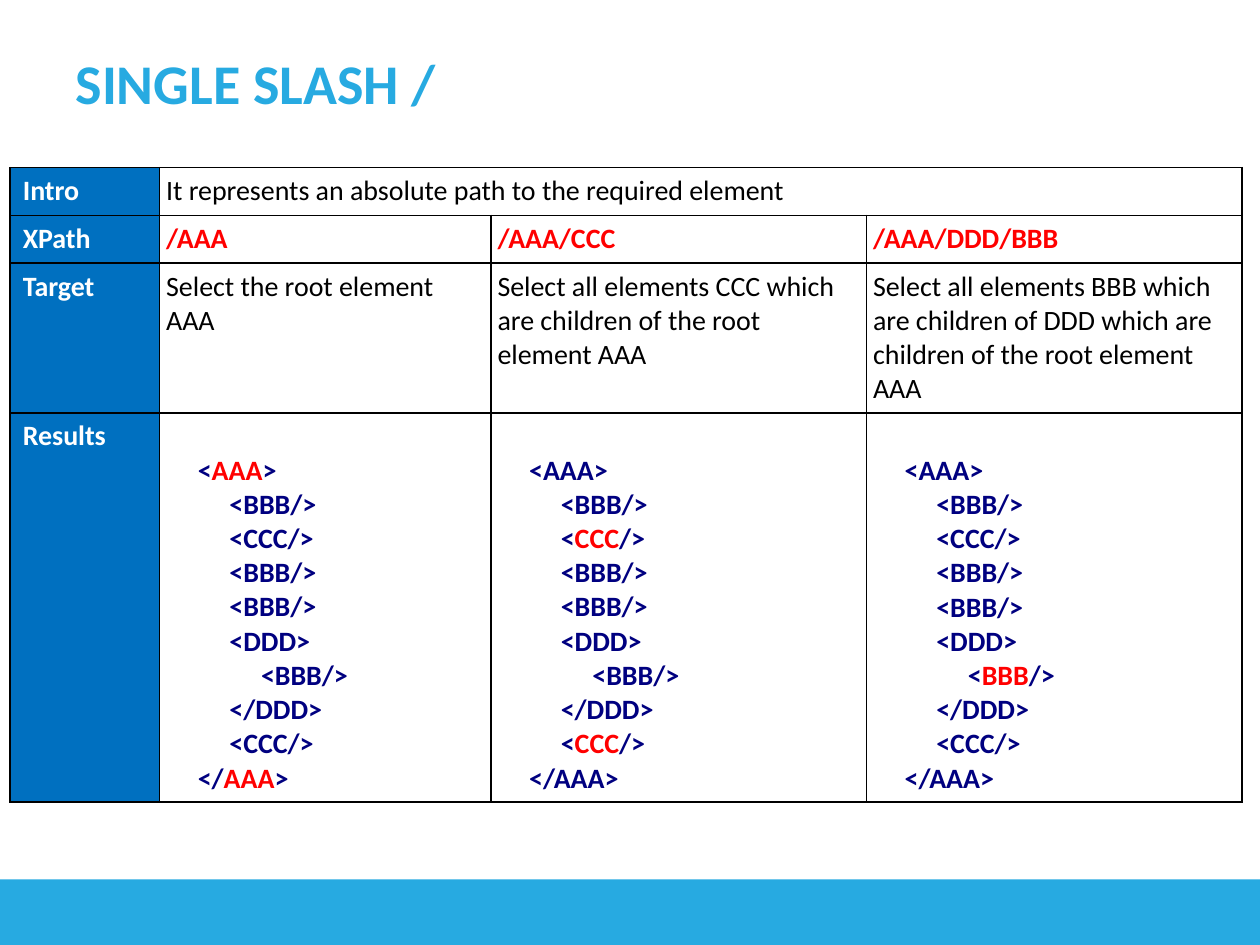
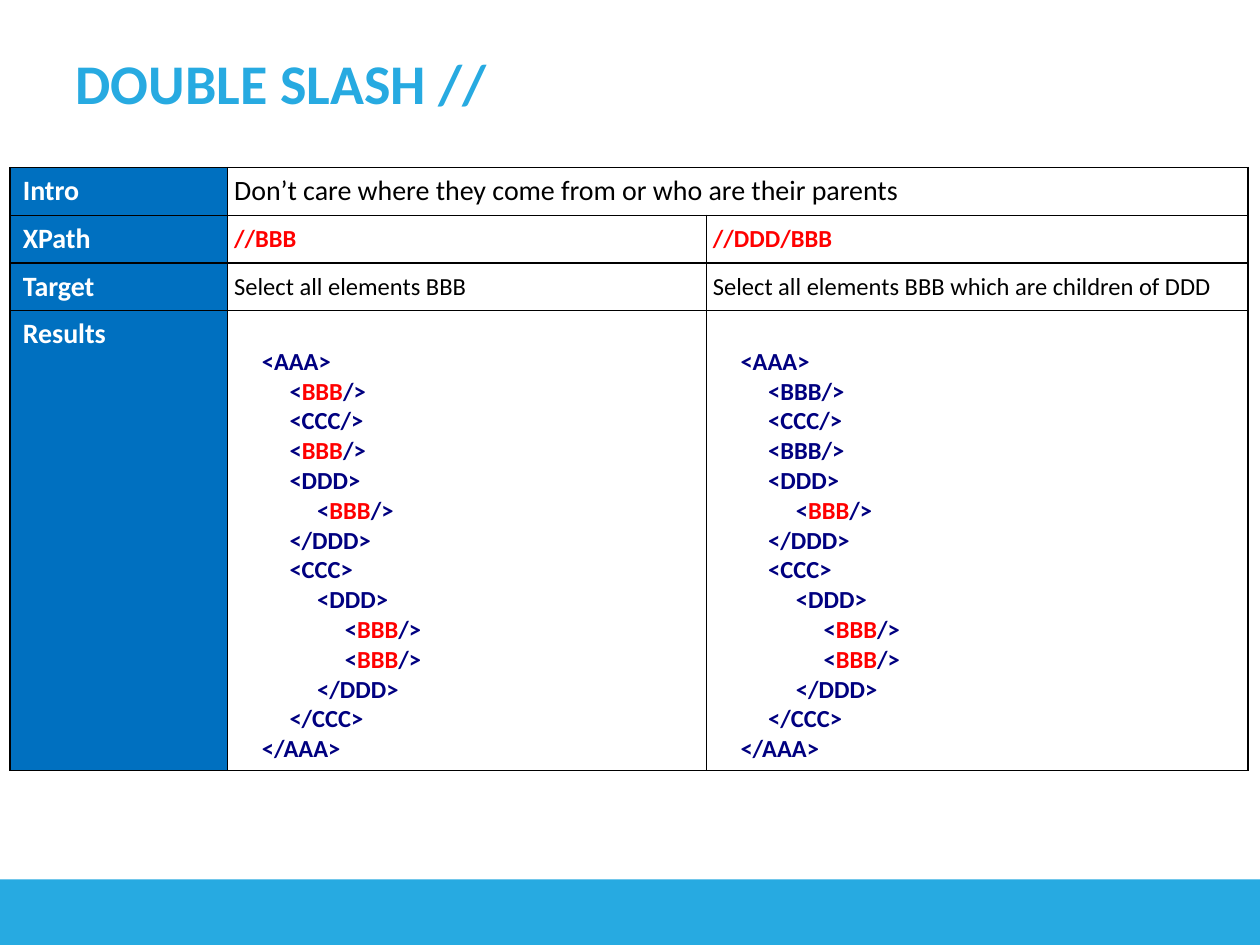
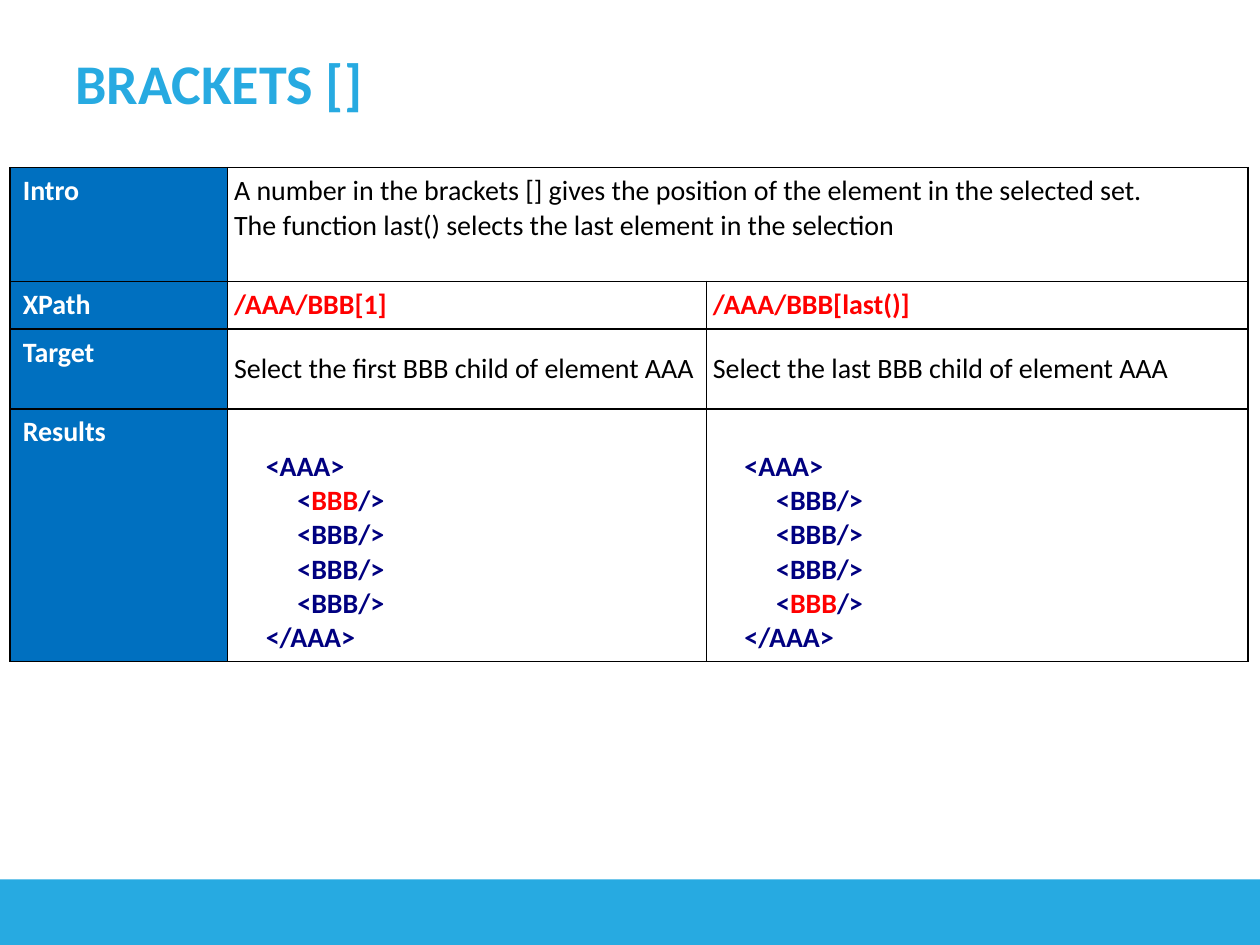
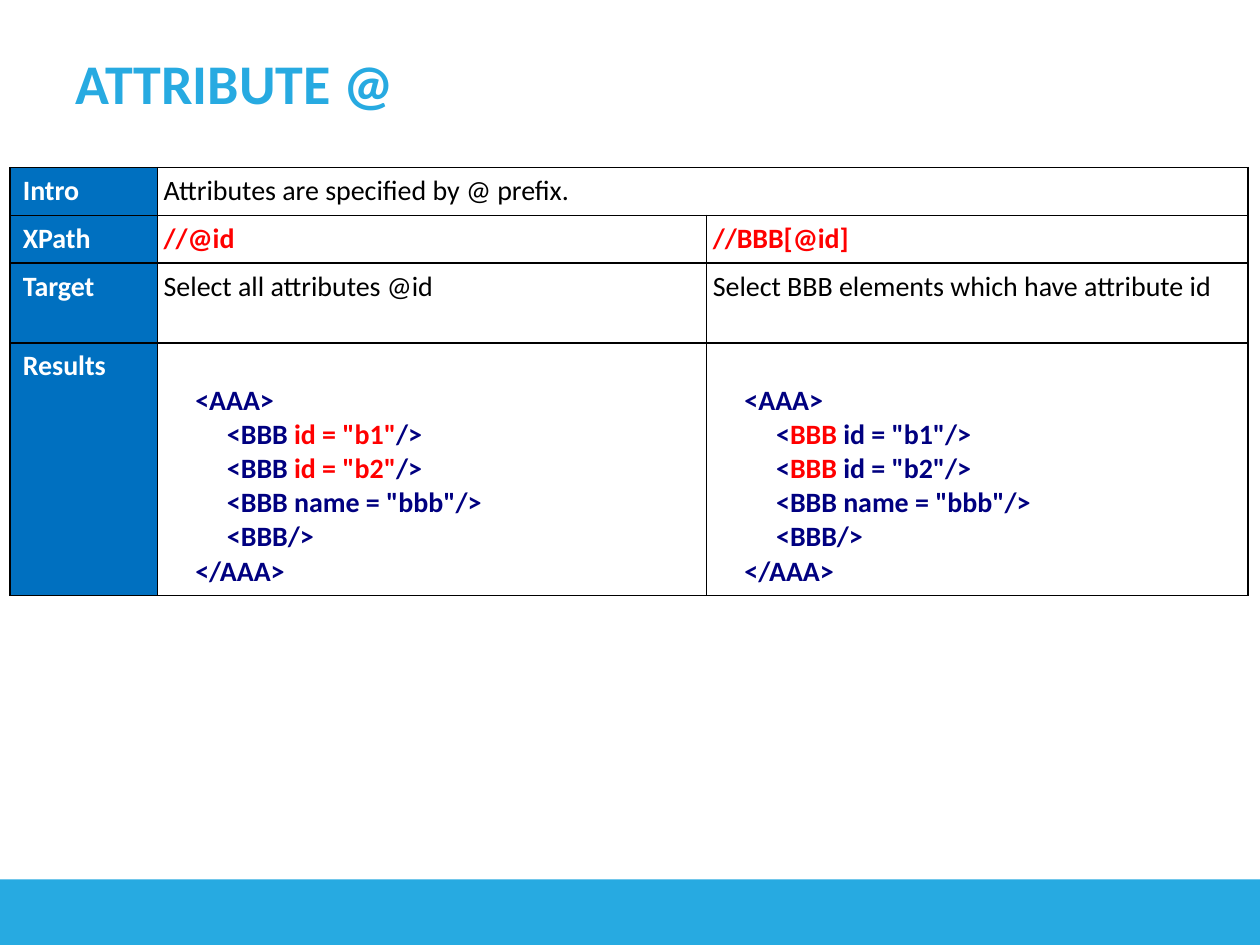
from dataclasses import dataclass

from lxml.etree import SubElement
from pptx import Presentation
from pptx.dml.color import RGBColor as RGB
from pptx.enum.shapes import MSO_SHAPE as Shape
from pptx.enum.text import MSO_ANCHOR as Anchor, PP_ALIGN as Align
from pptx.oxml.ns import qn
from pptx.util import Cm, Pt


@dataclass(frozen=True)
class Theme:
    font: str = "Calibri"
    sky: RGB = RGB(0x27, 0xAA, 0xE1)
    blue: RGB = RGB(0x00, 0x70, 0xC0)
    navy: RGB = RGB(0x00, 0x00, 0x80)
    red: RGB = RGB(0xFF, 0x00, 0x00)
    black: RGB = RGB(0x00, 0x00, 0x00)
    white: RGB = RGB(0xFF, 0xFF, 0xFF)
    head: int = 32
    body: int = 16
    small: int = 14
    line: float = 1.22   # line height, in ems
    step: float = 1.13   # indent of one nesting level, in ems


LABELS = ("Intro", "XPath", "Target", "Results")
PAD = Cm(0.13)


def nest(text):
    """Yield (depth, tag) for each line; the root stands at depth 1."""
    depth = 1
    for tag in text.split("\n"):
        bare = tag.replace("*", "")
        if bare.startswith("</"):
            depth -= 1
        yield depth, tag
        if not bare.startswith("</") and not bare.endswith("/>"):
            depth += 1


class Deck:
    def __init__(self, theme):
        self.theme = theme
        self.prs = Presentation()
        self.prs.slide_width, self.prs.slide_height = Cm(25.4), Cm(19.05)
        self.slide = None

    def page(self, title):
        self.slide = self.prs.slides.add_slide(self.prs.slide_layouts[5])
        self.band()
        self.title(title)

    def band(self):
        bar = self.slide.shapes.add_shape(
            Shape.RECTANGLE, Cm(-0.08), Cm(17.73), Cm(25.63), Cm(1.65))
        bar.shadow.inherit = False
        bar.fill.solid()
        bar.fill.fore_color.rgb = self.theme.sky
        bar.line.fill.background()

    def title(self, text):
        box = self.slide.shapes.title
        box.left, box.top = Cm(1.27), Cm(0.76)
        box.width, box.height = Cm(17.4), Cm(1.78)
        box.text_frame.vertical_anchor = Anchor.MIDDLE
        par = box.text_frame.paragraphs[0]
        par.alignment = Align.LEFT
        self.ink(par, text, self.theme.head, self.theme.sky, True)

    def ink(self, par, text, size, color, bold=False):
        """Fill a paragraph; parts between asterisks turn red."""
        font = par.font
        font.name, font.size, font.bold = self.theme.font, Pt(size), bold
        font.color.rgb = color
        for i, part in enumerate(text.split("*")):
            if part:
                run = par.add_run()
                run.text = part
                if i % 2:
                    run.font.color.rgb = self.theme.red

    def lines(self, cell, texts, *style):
        frame = cell.text_frame
        for i, text in enumerate(texts):
            par = frame.add_paragraph() if i else frame.paragraphs[0]
            self.ink(par, text, *style)

    def tree(self, cell, text, size):
        """Set nested tags, one line below the top of the cell."""
        look = self.theme
        rows = list(nest(text))
        cell.margin_top = PAD + Pt(size * look.line)
        self.lines(cell, [tag for _, tag in rows], size, look.navy, True)
        for par, (depth, _) in zip(cell.text_frame.paragraphs, rows):
            props = par._p.get_or_add_pPr()
            props.set("marL", str(Pt(size * look.step * depth)))
            props.set("indent", "0")

    def frame(self, cell):
        """Give a cell its padding, thin borders and no fill."""
        cell.margin_left = cell.margin_right = PAD
        cell.margin_top = cell.margin_bottom = PAD
        props = cell._tc.get_or_add_tcPr()
        for side in ("a:lnL", "a:lnR", "a:lnT", "a:lnB"):
            edge = SubElement(props, qn(side), w=str(Pt(1)))
            fill = SubElement(edge, qn("a:solidFill"))
            SubElement(fill, qn("a:srgbClr"), val=str(self.theme.black))
        cell.fill.background()

    def label(self, cell, text):
        cell.margin_left = 2 * PAD
        cell.fill.solid()
        cell.fill.fore_color.rgb = self.theme.blue
        self.lines(cell, [text], self.theme.body, self.theme.white, True)

    def grid(self, intro, cases, widths, heights, size, mid=None):
        """Draw the table; columns from mid on are centred vertically."""
        look = self.theme
        table = self.slide.shapes.add_table(
            len(heights), len(widths), Cm(0.2), Cm(3.38),
            Cm(sum(widths)), Cm(sum(heights))).table
        table.first_row = table.horz_banding = False
        for col, width in zip(table.columns, widths):
            col.width = Cm(width)
        for row, height in zip(table.rows, heights):
            row.height = Cm(height)
        for cell in table.iter_cells():
            self.frame(cell)
        for i, text in enumerate(LABELS):
            self.label(table.cell(i, 0), text)
        table.cell(0, 1).merge(table.cell(0, len(cases)))
        self.lines(table.cell(0, 1), intro.split("\n"), look.body, look.black)
        for j, (query, goal, tags) in enumerate(cases, 1):
            cells = [table.cell(i, j) for i in (1, 2, 3)]
            self.lines(cells[0], [query], size, look.red, True)
            self.lines(cells[1], [goal], size, look.black)
            self.tree(cells[2], tags, size)
            if mid and j >= mid:
                for cell in cells:
                    cell.vertical_anchor = Anchor.MIDDLE


SINGLE = [
    ("/AAA", "Select the root element AAA", """<*AAA*>
<BBB/>
<CCC/>
<BBB/>
<BBB/>
<DDD>
<BBB/>
</DDD>
<CCC/>
</*AAA*>"""),
    ("/AAA/CCC",
     "Select all elements CCC which are children of the root element AAA",
     """<AAA>
<BBB/>
<*CCC*/>
<BBB/>
<BBB/>
<DDD>
<BBB/>
</DDD>
<*CCC*/>
</AAA>"""),
    ("/AAA/DDD/BBB",
     "Select all elements BBB which are children of DDD "
     "which are children of the root element AAA",
     """<AAA>
<BBB/>
<CCC/>
<BBB/>
<BBB/>
<DDD>
<*BBB*/>
</DDD>
<CCC/>
</AAA>"""),
]

DOUBLE = [
    ("//BBB", "Select all elements BBB", """<AAA>
<*BBB*/>
<CCC/>
<*BBB*/>
<DDD>
<*BBB*/>
</DDD>
<CCC>
<DDD>
<*BBB*/>
<*BBB*/>
</DDD>
</CCC>
</AAA>"""),
    ("//DDD/BBB", "Select all elements BBB which are children of DDD",
     """<AAA>
<BBB/>
<CCC/>
<BBB/>
<DDD>
<*BBB*/>
</DDD>
<CCC>
<DDD>
<*BBB*/>
<*BBB*/>
</DDD>
</CCC>
</AAA>"""),
]

INDEX = [
    ("/AAA/BBB[1]", "Select the first BBB child of element AAA", """<AAA>
<*BBB*/>
<BBB/>
<BBB/>
<BBB/>
</AAA>"""),
    ("/AAA/BBB[last()]", "Select the last BBB child of element AAA", """<AAA>
<BBB/>
<BBB/>
<BBB/>
<*BBB*/>
</AAA>"""),
]

ATTRS = [
    ("//@id", "Select all attributes @id", """<AAA>
<BBB* id = "b1"*/>
<BBB* id = "b2"*/>
<BBB name = "bbb"/>
<BBB/>
</AAA>"""),
    ("//BBB[@id]", "Select BBB elements which have attribute id", """<AAA>
<*BBB* id = "b1"/>
<*BBB* id = "b2"/>
<BBB name = "bbb"/>
<BBB/>
</AAA>"""),
]


def main():
    look = Theme()
    deck = Deck(look)

    deck.page("SINGLE SLASH /")
    deck.grid("It represents an absolute path to the required element",
              SINGLE, (3.02, 6.68, 7.57, 7.57), (0.96, 0.96, 3.02, 7.85),
              look.body, mid=3)

    deck.page("DOUBLE SLASH //")
    deck.grid("Don’t care where they come from or who are their parents",
              DOUBLE, (4.39, 9.65, 10.92), (0.96, 0.96, 0.96, 9.27),
              look.small, mid=1)

    deck.page("BRACKETS []")
    deck.grid("A number in the brackets [] gives the position of the element "
              "in the selected set.\n"
              "The function last() selects the last element in the selection",
              INDEX, (4.39, 9.65, 10.92), (2.29, 0.96, 1.61, 5.1),
              look.body, mid=1)

    deck.page("ATTRIBUTE @")
    deck.grid("Attributes are specified by @ prefix.",
              ATTRS, (2.97, 11.07, 10.92), (0.96, 0.96, 1.61, 5.1),
              look.body)

    deck.prs.save("out.pptx")


if __name__ == "__main__":
    main()
